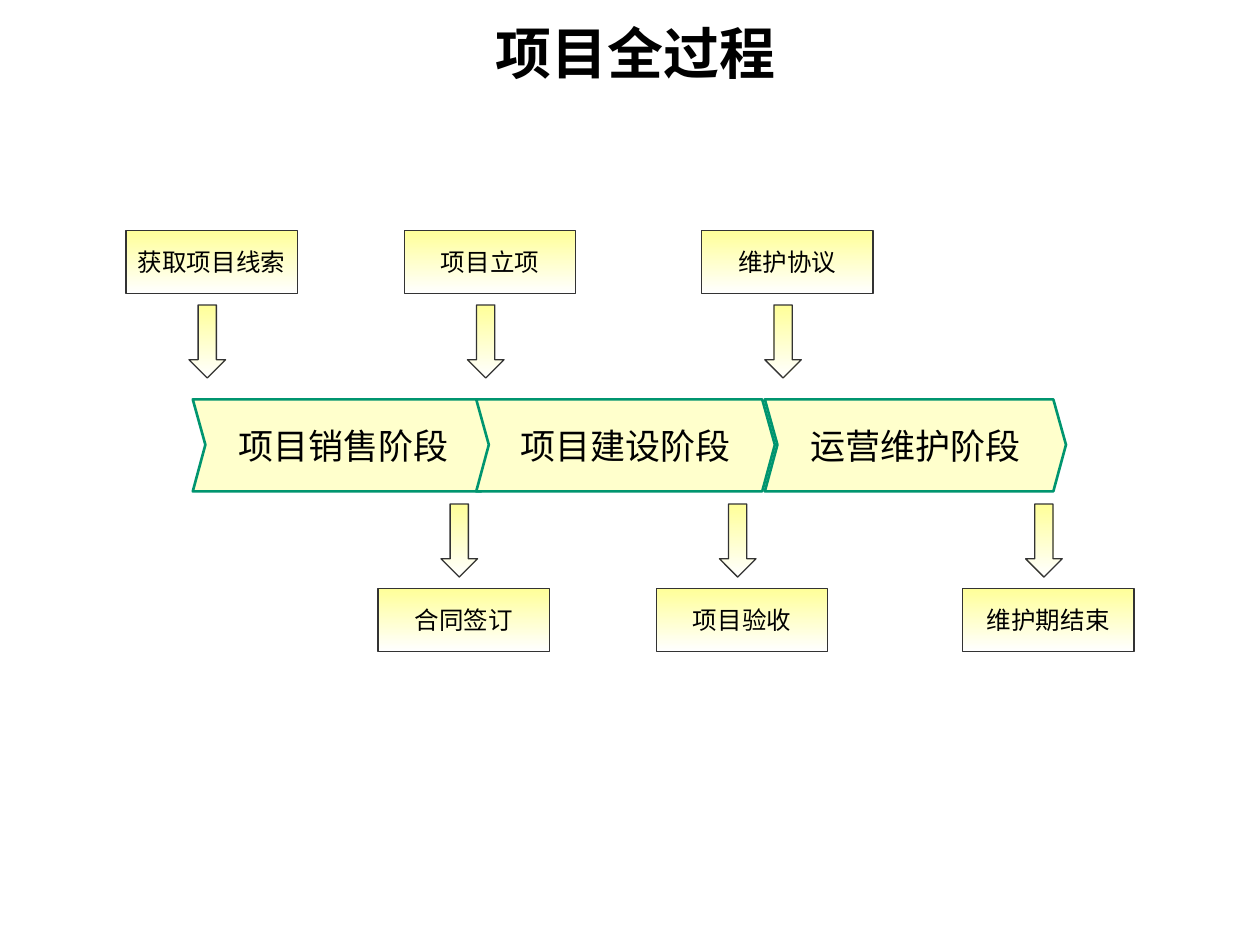
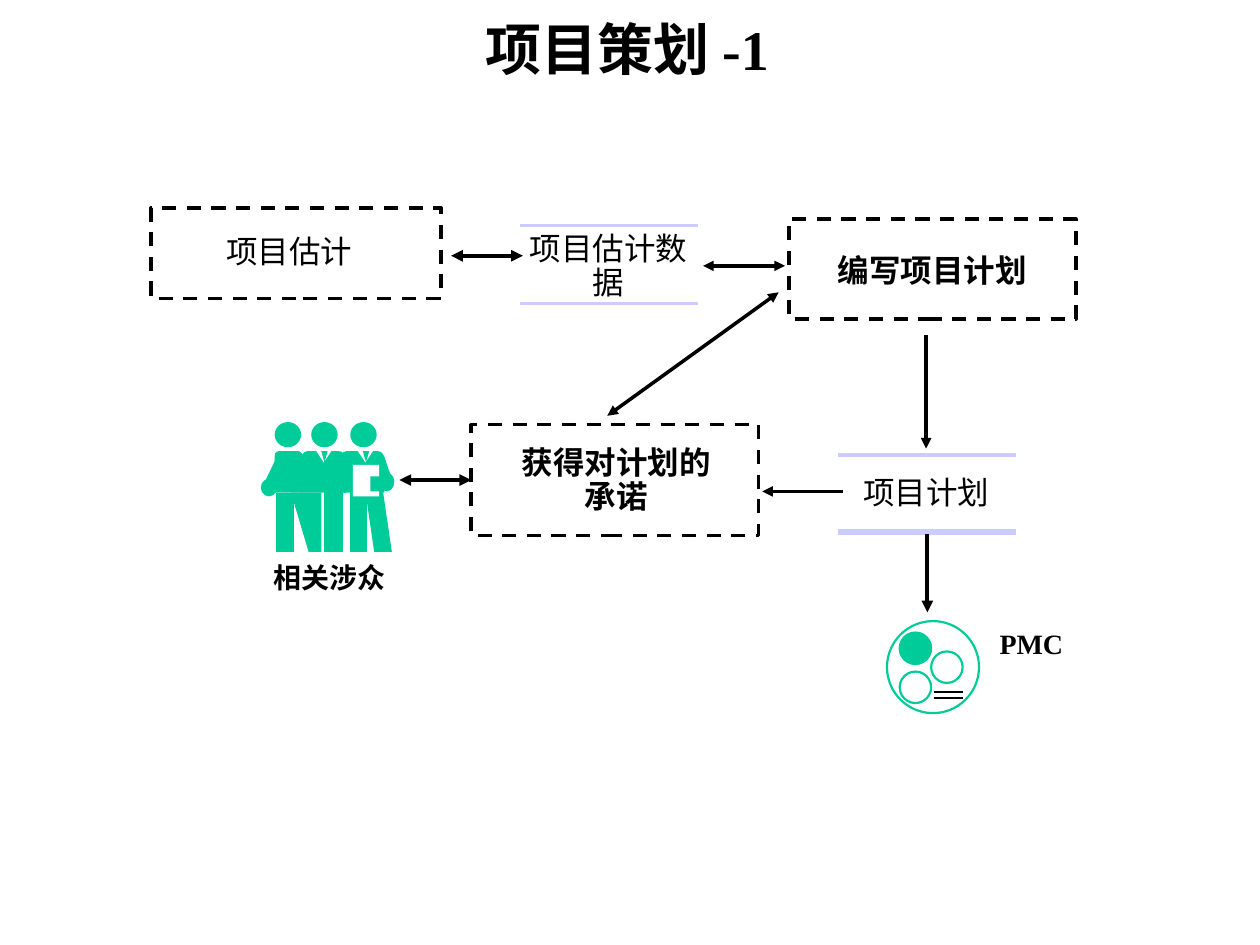
"""Build two project process slides: the stages and the planning flow."""
from lxml.etree import SubElement
from pptx import Presentation
from pptx.dml.color import RGBColor
from pptx.enum.dml import MSO_LINE
from pptx.enum.shapes import MSO_CONNECTOR, MSO_SHAPE
from pptx.enum.text import MSO_ANCHOR, MSO_AUTO_SIZE, PP_ALIGN
from pptx.oxml.ns import qn
from pptx.util import Pt

PX = 9144
FONT = "Times New Roman"
BLACK = RGBColor(0x00, 0x00, 0x00)
WHITE = RGBColor(0xFF, 0xFF, 0xFF)
CHARCOAL = RGBColor(0x33, 0x33, 0x33)
CREAM = RGBColor(0xFF, 0xFF, 0xCC)
YELLOW = RGBColor(0xFF, 0xFF, 0x99)
TEAL = RGBColor(0x00, 0x95, 0x6F)
GREEN = RGBColor(0x00, 0xCC, 0x99)
LAVENDER = RGBColor(0xCC, 0xCC, 0xFF)


def write(shape, text, size=18, bold=False, align=PP_ALIGN.CENTER,
          anchor=MSO_ANCHOR.MIDDLE, wrap=True, spacing=1.0, inset=None):
    frame = shape.text_frame
    frame.auto_size = MSO_AUTO_SIZE.NONE
    frame.word_wrap = wrap
    frame.vertical_anchor = anchor
    if inset is not None:
        frame.margin_left = frame.margin_right = inset
        frame.margin_top = frame.margin_bottom = inset
    para = frame.paragraphs[0]
    para.alignment = align
    para.line_spacing = spacing
    span = para.add_run()
    span.text = text
    span.font.name = FONT
    span.font.size = Pt(size)
    span.font.bold = bold
    span.font.color.rgb = BLACK


def paint(shape, fill=None, line=None, width=1.0, fade=None):
    shape.shadow.inherit = False
    if fade:
        shape.fill.gradient()
        shape.fill.gradient_angle = 270
        for stop, color in zip(shape.fill.gradient_stops, fade):
            stop.color.rgb = color
    elif fill is not None:
        shape.fill.solid()
        shape.fill.fore_color.rgb = fill
    else:
        shape.fill.background()
    if line is None:
        shape.line.fill.background()
    else:
        shape.line.color.rgb = line
        shape.line.width = Pt(width)


deck = Presentation()
deck.slide_width, deck.slide_height = 1000 * PX, 750 * PX

titles = [
    ("项目全过程", 383, 0, 317, 83),
    ("项目策划 -1", 375, 8, 333, 61),
]
pages = []
for text, left, top, width, height in titles:
    page = deck.slides.add_slide(deck.slide_layouts[5])
    title = page.shapes.title
    title.left, title.top = left * PX, top * PX
    title.width, title.height = width * PX, height * PX
    write(title, text, size=32, bold=True, align=PP_ALIGN.LEFT)
    pages.append(page)
process, planning = pages

BAND_TOP, BAND_MIDDLE, BAND_BOTTOM, POINT = 317, 353, 390, 10
BOX_WIDTH, BOX_HEIGHT = 136, 50
ARROW_WIDTH, ARROW_HEIGHT, ARROW_INDENT = 29, 58, 50
GAP = 9
ENTRY_TOP = 183
ENTRY_ARROW_TOP = ENTRY_TOP + BOX_HEIGHT + GAP
RESULT_ARROW_TOP = BAND_BOTTOM + 10
RESULT_TOP = RESULT_ARROW_TOP + ARROW_HEIGHT + GAP

stages = [
    ("项目销售阶段", 153, 239, "获取项目线索", 100, "合同签订", 300),
    ("项目建设阶段", 378, 237, "项目立项", 321, "项目验收", 521),
    ("运营维护阶段", 607, 239, "维护协议", 557, "维护期结束", 764),
]
for stage, left, width, entry, entry_left, result, result_left in stages:
    tip = left + width
    builder = process.shapes.build_freeform(left, BAND_TOP, PX)
    builder.add_line_segments([
        (tip - POINT, BAND_TOP), (tip, BAND_MIDDLE), (tip - POINT, BAND_BOTTOM),
        (left, BAND_BOTTOM), (left + POINT, BAND_MIDDLE)])
    chevron = builder.convert_to_shape()
    paint(chevron, CREAM, TEAL, 1.5)
    write(chevron, stage, size=20)
    for text, box_left, box_top, arrow_top in [
            (entry, entry_left, ENTRY_TOP, ENTRY_ARROW_TOP),
            (result, result_left, RESULT_TOP, RESULT_ARROW_TOP)]:
        box = process.shapes.add_shape(
            MSO_SHAPE.RECTANGLE, box_left * PX, box_top * PX,
            BOX_WIDTH * PX, BOX_HEIGHT * PX)
        arrow = process.shapes.add_shape(
            MSO_SHAPE.DOWN_ARROW, (box_left + ARROW_INDENT) * PX,
            arrow_top * PX, ARROW_WIDTH * PX, ARROW_HEIGHT * PX)
        for shape in (box, arrow):
            paint(shape, line=CHARCOAL, width=0.75, fade=(YELLOW, WHITE))
        write(box, text, size=14, wrap=False)

activity_frames = [
    (626, 174, 228, 79),
    (374, 337, 228, 88),
    (120, 165, 230, 72),
]
for left, top, width, height in activity_frames:
    box = planning.shapes.add_shape(
        MSO_SHAPE.RECTANGLE, left * PX, top * PX, width * PX, height * PX)
    paint(box, WHITE, BLACK, 2)
    box.line.dash_style = MSO_LINE.DASH

plain = {"spacing": 0.9}
strong = {"spacing": 0.9, "bold": True}
caption = {"size": 16, "bold": True, "wrap": False}
labels = [
    ("项目估计", 113, 183, 233, 37, plain),
    ("项目估计数据", 407, 180, 152, 64, plain),
    ("项目计划", 659, 374, 152, 37, plain),
    ("编写项目计划", 640, 198, 200, 37, strong),
    ("获得对计划的承诺", 401, 350, 176, 64, strong),
    ("PMC", 783, 492, 71, 37, caption),
    ("相关涉众", 217, 445, 89, 27, {"inset": 0, **caption}),
]
for text, left, top, width, height, style in labels:
    label = planning.shapes.add_textbox(
        left * PX, top * PX, width * PX, height * PX)
    write(label, text, anchor=MSO_ANCHOR.TOP, **style)

lines = []
STORE_WIDTH = 141
data_stores = [(413, (179, 241)), (665, (361, 421, 423))]
for left, rule_tops in data_stores:
    for top in rule_tops:
        lines.append((left, top, left + STORE_WIDTH, top, LAVENDER, 2, ()))

BADGE_LEFT, BADGE_TOP = 704, 493
for drop in (56, 61):
    top = BADGE_TOP + drop
    lines.append((BADGE_LEFT + 37, top, BADGE_LEFT + 60, top, BLACK, 1, ()))

TWO_WAY, ONE_WAY = ("headEnd", "tailEnd"), ("tailEnd",)
flows = {
    "estimate and its data": (358, 203, 415, 203, 2.25, TWO_WAY),
    "data and plan writing": (558, 211, 623, 211, 2, TWO_WAY),
    "commitment and plan writing": (482, 330, 618, 232, 2, TWO_WAY),
    "plan writing to plan": (735, 266, 735, 356, 2, ONE_WAY),
    "plan to commitment": (669, 390, 605, 390, 2, ONE_WAY),
    "plan to control": (736, 424, 736, 486, 2.25, ONE_WAY),
    "stakeholders and commitment": (317, 381, 374, 381, 2.25, TWO_WAY),
}
for x1, y1, x2, y2, width, heads in flows.values():
    lines.append((x1, y1, x2, y2, BLACK, width, heads))

for x1, y1, x2, y2, color, width, heads in lines:
    link = planning.shapes.add_connector(
        MSO_CONNECTOR.STRAIGHT, x1 * PX, y1 * PX, x2 * PX, y2 * PX)
    link.line.color.rgb = color
    link.line.width = Pt(width)
    for head in heads:
        SubElement(link.line._get_or_add_ln(), qn("a:" + head), type="triangle")
    SubElement(link._element.spPr, qn("a:effectLst"))

badge_rings = [
    (0, 0, 73, None),
    (10, 9, 25, GREEN),
    (35, 24, 25, None),
    (10, 40, 25, None),
]
for across, down, size, fill in badge_rings:
    ring = planning.shapes.add_shape(
        MSO_SHAPE.OVAL, (BADGE_LEFT + across) * PX, (BADGE_TOP + down) * PX,
        size * PX, size * PX)
    paint(ring, fill, GREEN, 1.25)

HEAD_TOP, HEAD_WIDTH, HEAD_HEIGHT = 335, 21, 20
SHOULDER, HIP, FOOT = 358, 391, 438
COLLAR_WIDTH, COLLAR_HEIGHT, TIE_WIDTH = 12, 9, 5
TORSO = MSO_SHAPE.ROUND_2_SAME_RECTANGLE
OVAL, WEDGE = MSO_SHAPE.OVAL, MSO_SHAPE.FLOWCHART_MERGE

people = [
    (218, 218, 22, None),
    (247, 239, 35, 257),
    (278, 270, 35, 290),
]
figure_parts = []
for head_left, torso_left, torso_width, tie_center in people:
    figure_parts += [
        (OVAL, head_left, HEAD_TOP, HEAD_WIDTH, HEAD_HEIGHT, GREEN),
        (TORSO, torso_left, SHOULDER, torso_width, HIP - SHOULDER, GREEN),
    ]
    if tie_center:
        for width, color in [(COLLAR_WIDTH, WHITE), (TIE_WIDTH, GREEN)]:
            figure_parts.append((WEDGE, tie_center - width // 2, SHOULDER,
                                 width, COLLAR_HEIGHT, color))

hands = [(207, 380, 13, 14), (267, 378, 13, 13), (301, 375, 12, 15)]
for left, top, width, height in hands:
    figure_parts.append((OVAL, left, top, width, height, GREEN))
clipboard = (MSO_SHAPE.RECTANGLE, 280, 369, 21, 25, WHITE)
clipboard_hand = (MSO_SHAPE.RECTANGLE, 294, 378, 10, 12, GREEN)

limbs = [
    (SHOULDER + 4, 220, 234, 387, 208, 219),
    (SHOULDER + 4, 296, 305, 383, 302, 312),
    (HIP, 219, 233, FOOT, 219, 233),
    (HIP, 231, 255, FOOT, 245, 255),
    (HIP - 1, 257, 272, FOOT, 257, 272),
    (HIP - 3, 278, 291, FOOT, 278, 291),
    (HIP - 1, 290, 304, FOOT, 297, 311),
]
for top, top_left, top_right, bottom, bottom_left, bottom_right in limbs:
    builder = planning.shapes.build_freeform(top_left, top, PX)
    builder.add_line_segments([
        (top_right, top), (bottom_right, bottom), (bottom_left, bottom)])
    paint(builder.convert_to_shape(), GREEN)

for kind, left, top, width, height, color in [
        *figure_parts, clipboard, clipboard_hand]:
    part = planning.shapes.add_shape(
        kind, left * PX, top * PX, width * PX, height * PX)
    paint(part, color)

deck.save("out.pptx")
